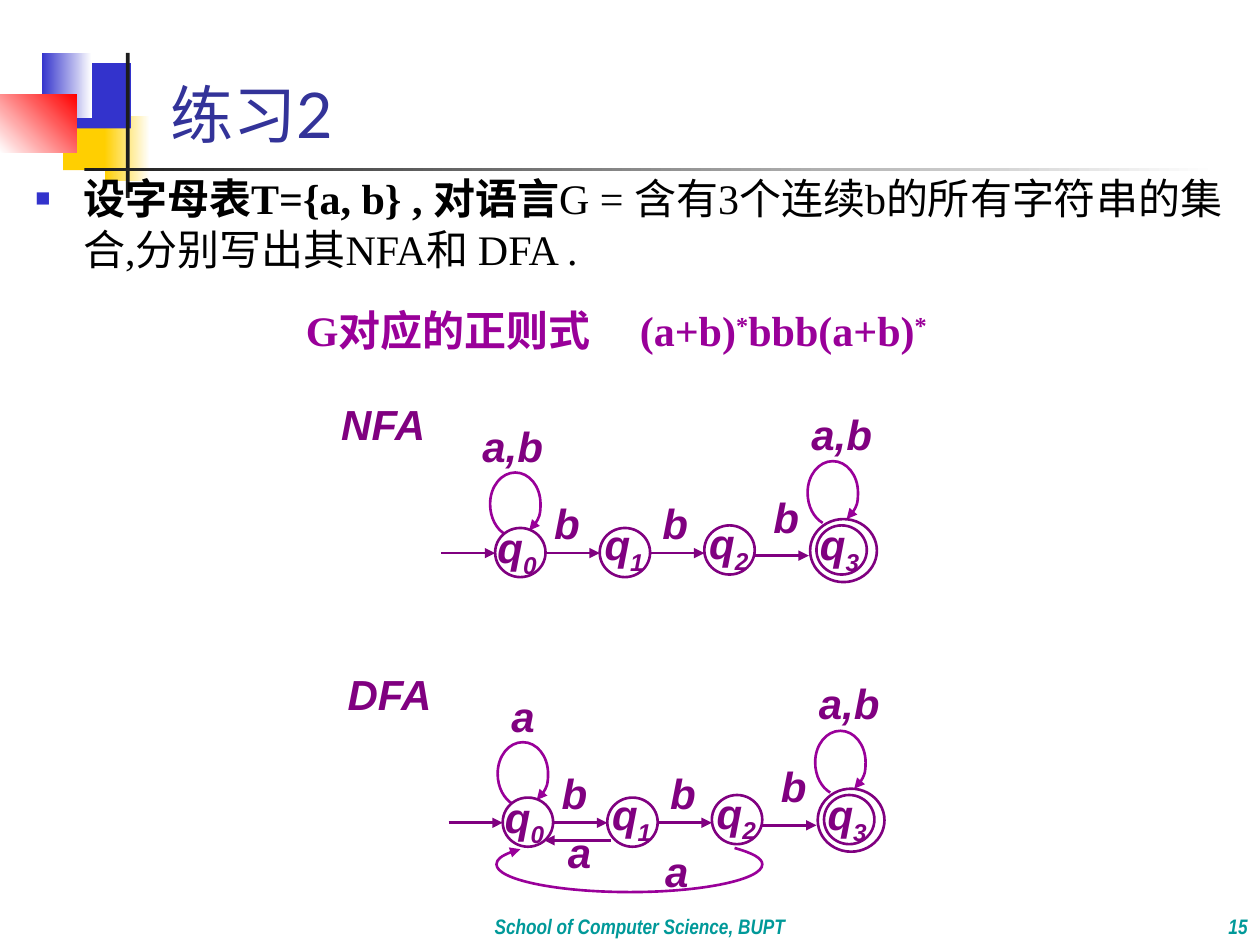
from lxml.etree import SubElement
from pptx import Presentation
from pptx.dml.color import RGBColor
from pptx.enum.shapes import MSO_CONNECTOR as Conn, MSO_SHAPE as Kind
from pptx.enum.text import MSO_ANCHOR as Anchor, MSO_AUTO_SIZE as Fit, PP_ALIGN as Align
from pptx.oxml.ns import qn
from pptx.util import Inches, Pt


class Theme:
    white, black, blue, gold, red, ink = "FFFFFF", "000000", "3333CC", "FFCF01", "FF0000", "1C1C1C"
    plum, violet = "800080", "990099"
    line = 1.5
    title = dict(name="Lato", size=36, color="333399")
    body = dict(name="Times New Roman", size=24, color=black)
    rule = dict(name="Times New Roman", size=24, color=violet, bold=True)
    label = dict(name="Arial", size=24, color=plum, bold=True, italic=True)
    foot = dict(name="Arial Narrow", size=12, color="009999", bold=True, italic=True)


WIDE, HIGH = 10, 7.5
COL, GAP, DOT = 0.83, 0.43, (0.4, 0.39)
LEFT, TOP = 3.93, 4.19

TITLE = "练习2"
BODY = [("设字母表T={a, b}", True, 0), (" ", True, -230), (", 对语言", True, 0),
        ("G = 含有3个连续b的所有字符串的集合,分别写出其NFA和 DFA .", False, 0)]
RULE = [("G对应的正则式\t(a+b)", 0), ("*", 30), ("bbb(a+b)", 0), ("*", 30)]
FOOT = [("15", (8.33, 7, 1.67, 0.5), Align.RIGHT, 1),
        ("School of Computer Science, BUPT", (1.58, 7, 7, 0.5), Align.CENTER, 1.1)]
DECOR = [
    ((0.5, 0.83, 0.48, 0.52), [Theme.gold], 0),
    ((0.83, 0.92, 0.36, 0.52), [Theme.gold, Theme.white], 0),
    ((0.58, 0.5, 0.46, 0.52), [Theme.blue], 0),
    ((0.33, 0.42, 0.4, 0.52), [Theme.blue, Theme.white], 0),
    ((0, 0.75, 0.61, 0.46), [Theme.white, Theme.red], 45),
    ((1, 0.42, 0.03, 1.15), [Theme.ink], 0),
    ((0.67, 1.33, 9, 0.03), [Theme.ink, Theme.white], 0),
]

STATES = [("0", 3.85, 4.09, 4.19), ("1", 4.7, 4.07, 4.19), ("2", 5.53, 4.06, 4.17)]
FINAL = ("3", 6.41, 4.07)
LOOPS = [(3.89, 3.75), (6.41, 3.66)]
LOOP = [(0.12, 0.49), (0.05, 0.45), (0, 0.36), (0, 0.25), (0, 0.11), (0.09, 0), (0.2, 0),
        (0.31, 0), (0.4, 0.11), (0.4, 0.25), (0.4, 0.34), (0.37, 0.41), (0.31, 0.46)]
BACK = [(0.19, 0.1), (0.07, 0.13), (0, 0.18), (0, 0.22), (0, 0.34), (0.47, 0.44), (1.06, 0.44),
        (1.64, 0.44), (2.11, 0.34), (2.11, 0.22), (2.11, 0.17), (2.03, 0.13), (1.89, 0.09)]
STEPS = [("b", 4.3, 3.9), ("b", 5.16, 3.9), ("b", 6.04, 3.85), ("a,b", 6.34, 3.19)]
GRAPHS = [
    dict(shift=(0, 0), words=[("NFA", 2.61, 3.11), ("a,b", 3.73, 3.29)], back=False),
    dict(shift=(0.06, 2.14), back=True,
         words=[("DFA", 2.6, 3.12), ("a", 3.9, 3.29), ("a", 4.35, 4.37), ("a", 5.12, 4.52)]),
]


def rgb(code):
    return RGBColor.from_string(code)


def box(*vals):
    return [Inches(v) for v in vals]


def style(font, form):
    for key, val in form.items():
        if key == "color":
            font.color.rgb = rgb(val)
        else:
            setattr(font, key, Pt(val) if key == "size" else val)


def add_run(para, text, form, base=0, space=0):
    run = para.add_run()
    run.text = text
    style(run.font, form)
    for key, val in (("baseline", base * 1000), ("spc", space)):
        if val:
            run.font._element.set(key, str(val))


def add_text(shapes, place, runs, form, anchor=Anchor.TOP):
    frame = shapes.add_textbox(*box(*place)).text_frame
    frame.word_wrap, frame.vertical_anchor = True, anchor
    for text, base in runs:
        add_run(frame.paragraphs[0], text, form, base)
    return frame.paragraphs[0]


def arrow_end(line, end="tailEnd"):
    SubElement(line._get_or_add_ln(), qn("a:" + end), type="triangle")


def outline(shape, color):
    shape.shadow.inherit = False
    shape.fill.solid()
    shape.fill.fore_color.rgb = rgb(Theme.white)
    shape.line.color.rgb, shape.line.width = rgb(color), Pt(Theme.line)


def bend(shape):
    legs = list(shape._element.iter(qn("a:lnTo")))
    for first, *rest in zip(legs[::3], legs[1::3], legs[2::3]):
        first.tag = qn("a:cubicBezTo")
        for leg in rest:
            first.append(leg[0])
            leg.getparent().remove(leg)


def add_block(shapes, place, colors, angle):
    shape = shapes.add_shape(Kind.RECTANGLE, *box(*place))
    shape.shadow.inherit = False
    shape.line.fill.background()
    if len(colors) == 1:
        shape.fill.solid()
        shape.fill.fore_color.rgb = rgb(colors[0])
        return
    shape.fill.gradient()
    shape.fill.gradient_angle = angle
    for stop, color, pos in zip(shape.fill.gradient_stops, colors, (0, 1)):
        stop.color.rgb, stop.position = rgb(color), pos


def add_graph(slide, graph):
    shapes = slide.shapes.add_group_shape().shapes
    dx, dy = graph["shift"]

    def ring(x, y, w, h):
        outline(shapes.add_shape(Kind.OVAL, *box(x + dx, y + dy, w, h)), Theme.plum)

    def arrow(x, y, end):
        line = shapes.add_connector(Conn.STRAIGHT, *box(x + dx, y + dy, end + dx, y + dy))
        line.line.color.rgb, line.line.width = rgb(Theme.plum), Pt(Theme.line)
        arrow_end(line.line)
        SubElement(line._element.spPr, qn("a:effectLst"))

    def curve(x, y, knots, end):
        dots = [box(x + dx + kx, y + dy + ky) for kx, ky in knots]
        pen = shapes.build_freeform(*dots[0], scale=1.0)
        pen.add_line_segments(dots[1:], close=False)
        shape = pen.convert_to_shape()
        bend(shape)
        outline(shape, Theme.violet)
        arrow_end(shape.line, end)

    def word(x, y, w, *runs):
        add_text(shapes, (x + dx, y + dy, w, 0.5), runs, Theme.label)

    if graph["back"]:
        curve(3.88, 4.5, BACK, "headEnd")
    for x, y in LOOPS:
        curve(x, y, LOOP, "tailEnd")
    ring(6.43, 4.12, 0.53, 0.5)
    ring(6.48, 4.17, *DOT)
    for i, (num, x, y, top) in enumerate(STATES):
        ring(LEFT + i * COL, top, *DOT)
    for i in range(4):
        x = LEFT - GAP + i * COL
        arrow(x, 4.41 if i == 3 else TOP + 0.2, x + GAP)
    if graph["back"]:
        arrow(4.79, 4.53, 4.26)
    for num, x, y, *_ in STATES + [FINAL]:
        word(x, y, 0.57, ("q", 0), (num, -25))
    for text, x, y in STEPS + graph["words"]:
        word(x, y, 0.2 + 0.27 * len(text), (text, 0))


def add_heads(slide):
    title, body = slide.shapes.title, slide.placeholders[1]
    places = [(1.25, 0.33, 8.52, 0.92), (0.18, 1.32, 9.65, 1.66)]
    for shape, place in zip((title, body), places):
        shape.left, shape.top, shape.width, shape.height = box(*place)
        shape.text_frame.auto_size = Fit.NONE
        shape.element.getparent().append(shape.element)
    title.text_frame.vertical_anchor = Anchor.BOTTOM
    head = title.text_frame.paragraphs[0]
    head.alignment = Align.LEFT
    add_run(head, TITLE, Theme.title)

    para = body.text_frame.paragraphs[0]
    para.space_before = Pt(0)
    props = para._p.get_or_add_pPr()
    props.set("marL", str(Inches(0.38)))
    props.set("indent", str(-Inches(0.38)))
    SubElement(SubElement(props, qn("a:buClr")), qn("a:srgbClr"), val=Theme.blue)
    SubElement(props, qn("a:buSzPct"), val="60000")
    SubElement(props, qn("a:buFont"), typeface="Arial")
    SubElement(props, qn("a:buChar"), char="■")
    for text, bold, space in BODY:
        add_run(para, text, dict(Theme.body, bold=bold), space=space)


def main():
    deck = Presentation()
    deck.slide_width, deck.slide_height = box(WIDE, HIGH)
    slide = deck.slides.add_slide(deck.slide_layouts[1])
    for block in DECOR:
        add_block(slide.shapes, *block)
    add_heads(slide)
    for text, place, align, space in FOOT:
        para = add_text(slide.shapes, place, [(text, 0)], Theme.foot, Anchor.BOTTOM)
        para.alignment, para.line_spacing = align, space
    rule = add_text(slide.shapes, (2.33, 2.37, 5.88, 0.51), RULE, Theme.rule)
    tabs = SubElement(rule._p.get_or_add_pPr(), qn("a:tabLst"))
    SubElement(tabs, qn("a:tab"), pos=str(Inches(2.65)), algn="l")
    for graph in GRAPHS:
        add_graph(slide, graph)
    deck.save("out.pptx")


if __name__ == "__main__":
    main()
